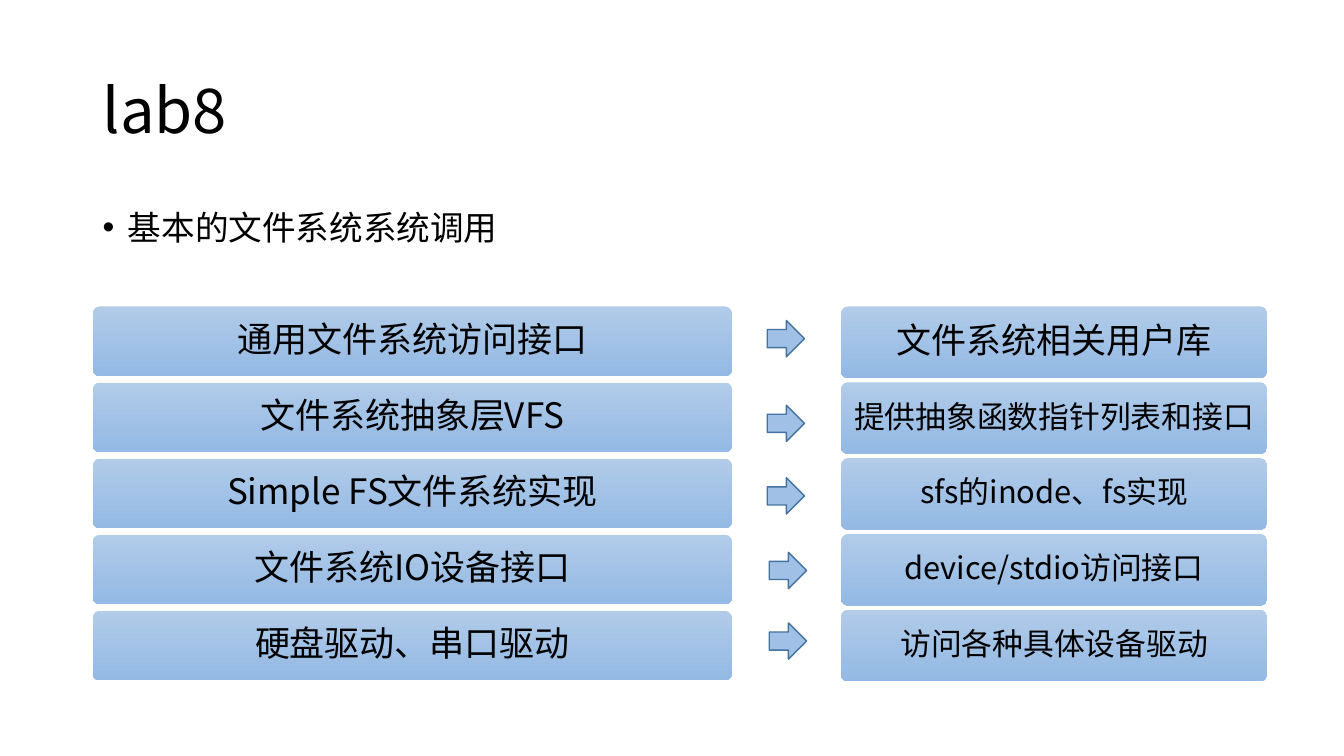
from lxml import etree
from pptx import Presentation
from pptx.dml.color import RGBColor
from pptx.enum.shapes import MSO_SHAPE
from pptx.enum.text import MSO_ANCHOR, PP_ALIGN
from pptx.oxml.ns import qn
from pptx.util import Inches, Pt

ROUND_RECT = MSO_SHAPE.ROUNDED_RECTANGLE
RIGHT_ARROW = MSO_SHAPE.RIGHT_ARROW
TOP, MIDDLE = MSO_ANCHOR.TOP, MSO_ANCHOR.MIDDLE
CENTER = PP_ALIGN.CENTER

FONT = "Noto Sans CJK SC"
COLORS = {
    "text": "000000",
    "bar_top": "B1CBE9",
    "bar_bottom": "93B9E4",
    "arrow": "A1C0E5",
    "arrow_line": "43739E",
}

# (text, size in points)
LAYERS = [
    ("通用文件系统访问接口", 25),
    ("文件系统抽象层VFS", 25),
    ("Simple FS文件系统实现", 25),
    ("文件系统IO设备接口", 25),
    ("硬盘驱动、串口驱动", 25),
]
DUTIES = [
    ("文件系统相关用户库", 25),
    ("提供抽象函数指针列表和接口", 22),
    ("sfs的inode、fs实现", 22),
    ("device/stdio访问接口", 22),
    ("访问各种具体设备驱动", 22),
]
ARROW_SIZE = (0.37, 0.36)
ARROW_POSITIONS = [(7.61, 3.18), (7.61, 4.02), (7.61, 4.74), (7.63, 5.48), (7.63, 6.18)]


def rgb(name):
    return RGBColor.from_string(COLORS[name])


def write(tf, text, size, anchor):
    """Fill the frame with one paragraph, setting Latin and East Asian fonts."""
    tf.word_wrap = True
    tf.vertical_anchor = anchor
    p = tf.paragraphs[0]
    p.text = text
    p.font.size = Pt(size)
    p.font.name = FONT
    p.font.color.rgb = rgb("text")
    def_rpr = p._p.pPr.find(qn("a:defRPr"))
    etree.SubElement(def_rpr, qn("a:ea")).set("typeface", FONT)
    return p


def add_title(slide, box, text):
    tf = slide.shapes.add_textbox(*map(Inches, box)).text_frame
    write(tf, text, 44, MIDDLE).line_spacing = 0.9


def add_bullet(slide, box, text):
    tf = slide.shapes.add_textbox(*map(Inches, box)).text_frame
    p = write(tf, text, 24, TOP)
    p.space_before = Pt(10)
    ppr = p._p.pPr
    ppr.set("marL", str(Inches(0.25)))
    ppr.set("indent", str(Inches(-0.25)))
    bullet_font = etree.Element(qn("a:buFont"), typeface="Arial")
    bullet = etree.Element(qn("a:buChar"), char="•")
    def_rpr = ppr.find(qn("a:defRPr"))
    def_rpr.addprevious(bullet_font)
    def_rpr.addprevious(bullet)


def add_bar(slide, box, text, size):
    sp = slide.shapes.add_shape(ROUND_RECT, *map(Inches, box))
    sp.shadow.inherit = False
    sp.adjustments[0] = 0.1
    sp.line.fill.background()
    sp.fill.gradient()
    sp.fill.gradient_angle = 270
    for stop, name in zip(sp.fill.gradient_stops, ("bar_top", "bar_bottom")):
        stop.color.rgb = rgb(name)
    tf = sp.text_frame
    inset = Inches(0.1 if size > 22 else 0.09)
    tf.margin_left = tf.margin_right = tf.margin_top = tf.margin_bottom = inset
    p = write(tf, text, size, MIDDLE)
    p.alignment = CENTER
    p.line_spacing = 0.9


def add_bar_column(slide, box, bars, bar_height):
    """Spread the bars evenly from the top of the box to its bottom."""
    left, top, width, height = box
    pitch = (height - bar_height) / (len(bars) - 1)
    for i, (text, size) in enumerate(bars):
        add_bar(slide, (left, top + i * pitch, width, bar_height), text, size)


def add_arrow(slide, box):
    sp = slide.shapes.add_shape(RIGHT_ARROW, *map(Inches, box))
    sp.shadow.inherit = False
    sp.fill.solid()
    sp.fill.fore_color.rgb = rgb("arrow")
    sp.line.color.rgb = rgb("arrow_line")
    sp.line.width = Pt(1)


def main():
    prs = Presentation()
    prs.slide_width, prs.slide_height = Inches(13.33), Inches(7.5)
    slide = prs.slides.add_slide(prs.slide_layouts[6])
    add_title(slide, (0.92, 0.4, 11.5, 1.45), "lab8")
    add_bullet(slide, (0.92, 2, 11.5, 0.8), "基本的文件系统系统调用")
    add_bar_column(slide, (0.92, 3.04, 6.34, 3.71), LAYERS, 0.69)
    add_bar_column(slide, (8.34, 3.04, 4.23, 3.72), DUTIES, 0.71)
    for position in ARROW_POSITIONS:
        add_arrow(slide, position + ARROW_SIZE)
    prs.save("out.pptx")


if __name__ == "__main__":
    main()
